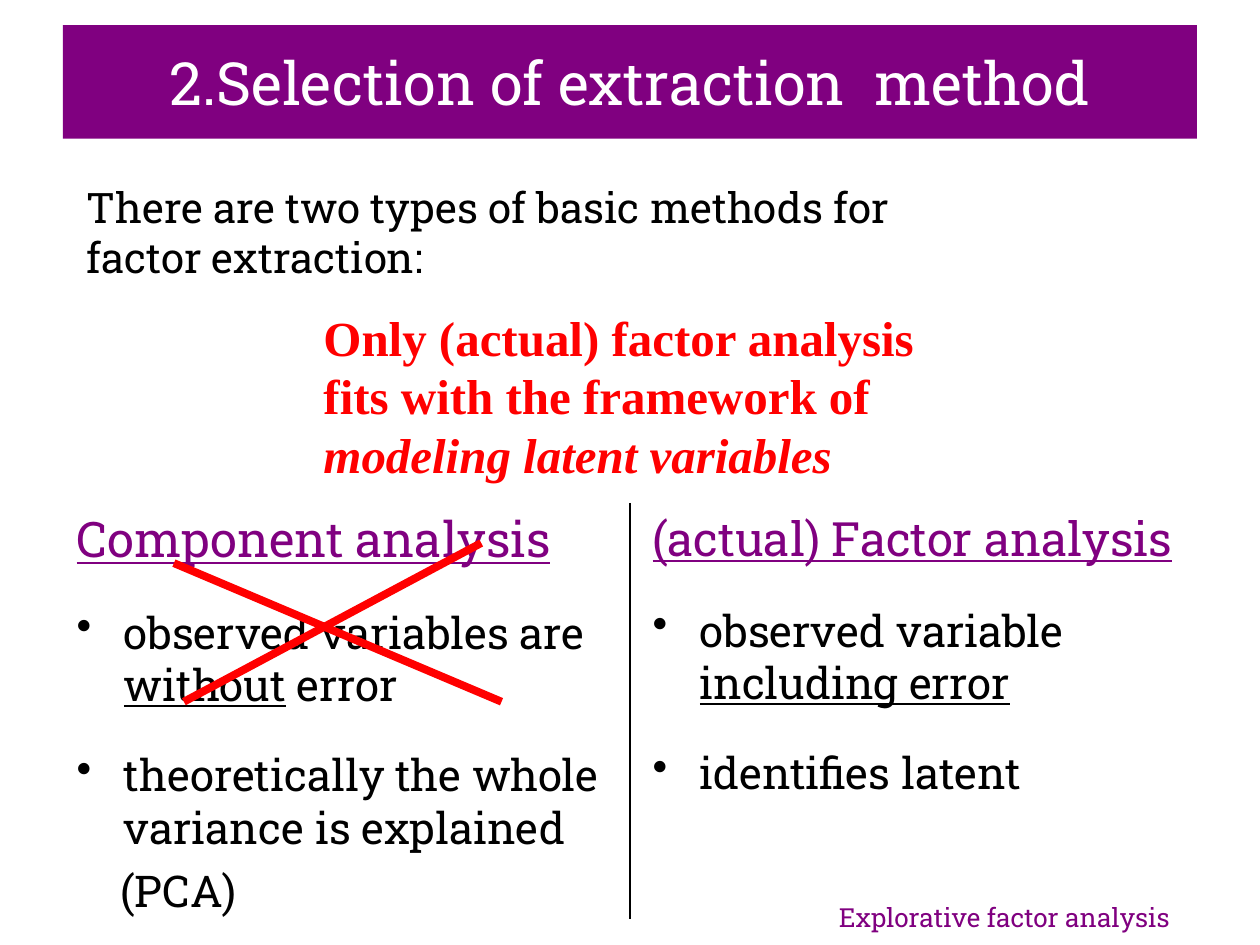
from lxml.etree import SubElement
from pptx import Presentation
from pptx.dml.color import RGBColor
from pptx.enum.shapes import MSO_CONNECTOR, MSO_SHAPE
from pptx.enum.text import MSO_ANCHOR, PP_ALIGN
from pptx.oxml.ns import qn
from pptx.util import Pt

PURPLE, RED, BLACK, WHITE = "800080", "FF0000", "000000", "FFFFFF"
SLAB, SERIF = "Roboto Slab", "Times New Roman"
BODY = {"name": SLAB, "size": Pt(25), "color": BLACK}
HANGING = 27


def color(value):
    return RGBColor.from_string(value)


def add_run(paragraph, text, font_format):
    run = paragraph.add_run()
    run.text = text
    for name, value in font_format.items():
        if name == "color":
            run.font.color.rgb = color(value)
        else:
            setattr(run.font, name, value)


def fill_paragraph(paragraph, runs, font_format, paragraph_format):
    for name, value in paragraph_format.items():
        setattr(paragraph, name, value)
    for text, changes in runs:
        add_run(paragraph, text, {**font_format, **changes})


def set_indent(paragraph, left, bullet=None):
    properties = paragraph._p.get_or_add_pPr()
    properties.set("marL", str(Pt(left)))
    if bullet:
        properties.set("indent", str(-Pt(left)))
        SubElement(properties, qn("a:buChar")).set("char", bullet)


def add_text_box(slide, box, wrap=True):
    frame = slide.shapes.add_textbox(*map(Pt, box)).text_frame
    frame.word_wrap = wrap
    return frame


def add_line(slide, start, end, line_color, width):
    line = slide.shapes.add_connector(MSO_CONNECTOR.STRAIGHT, *map(Pt, start + end))
    line.line.color.rgb = color(line_color)
    line.line.width = Pt(width)
    SubElement(line._element.spPr, qn("a:effectLst"))


def add_title(slide, box, text):
    banner = slide.shapes.add_shape(MSO_SHAPE.RECTANGLE, *map(Pt, box))
    banner.shadow.inherit = False
    banner.fill.solid()
    banner.fill.fore_color.rgb = color(PURPLE)
    banner.line.fill.background()
    banner.text_frame.vertical_anchor = MSO_ANCHOR.MIDDLE
    fill_paragraph(
        banner.text_frame.paragraphs[0],
        [(text, {})],
        {"name": SLAB, "size": Pt(34), "color": WHITE},
        {"alignment": PP_ALIGN.CENTER},
    )


def add_statement(slide, box, runs, font_format, paragraph_format, wrap=True):
    frame = add_text_box(slide, box, wrap)
    fill_paragraph(frame.paragraphs[0], runs, font_format, paragraph_format)


def add_method(slide, box, heading, heading_size, bullets, closing=None, right_inset=7.2):
    frame = add_text_box(slide, box)
    frame.margin_right = Pt(right_inset)
    heading_format = {"name": SLAB, "size": Pt(heading_size), "color": PURPLE, "underline": True}
    fill_paragraph(frame.paragraphs[0], [(heading, {})], heading_format, {})
    for runs in bullets:
        paragraph = frame.add_paragraph()
        set_indent(paragraph, HANGING, "•")
        fill_paragraph(paragraph, runs, BODY, {"line_spacing": Pt(30), "space_before": Pt(21.5)})
    if closing:
        paragraph = frame.add_paragraph()
        set_indent(paragraph, HANGING - 2)
        fill_paragraph(
            paragraph, [(closing, {})], BODY, {"line_spacing": Pt(30), "space_before": Pt(6.2)}
        )


def add_cross(slide, strokes):
    for start, end in strokes:
        add_line(slide, start, end, RED, 4.5)


def main():
    presentation = Presentation()
    presentation.slide_width, presentation.slide_height = Pt(720), Pt(540)
    slide = presentation.slides.add_slide(presentation.slide_layouts[6])
    underlined = {"underline": True}

    add_title(slide, (36, 14.4, 648, 64.8), "2.Selection of extraction  method")
    add_method(
        slide, (36.7, 287.3, 323.3, 244), "Component analysis", 28,
        [
            [("observed variables are ", {}), ("without", underlined), (" error", {})],
            [("theoretically the whole variance is explained", {})],
        ],
        closing="(PCA)", right_inset=2.9,
    )
    add_method(
        slide, (365.8, 287.3, 334, 244), "(actual) Factor analysis", 27,
        [
            [("observed variable ", {}), ("including error", underlined)],
            [("identifies latent", {})],
        ],
    )
    add_line(slide, (360, 287.3), (360, 524.9), BLACK, 0.75)
    add_statement(
        slide, (472.3, 511.2, 208, 25.2), [("Explorative factor analysis", {})],
        {"name": SLAB, "size": Pt(15), "color": PURPLE}, {}, wrap=False,
    )
    add_statement(
        slide, (42.5, 100, 527, 64.8),
        [("There are two types of basic methods for factor extraction:", {})],
        {"name": SLAB, "size": Pt(24), "color": BLACK}, {"line_spacing": Pt(28.8)},
    )
    add_statement(
        slide, (177.8, 172, 391.7, 108),
        [
            ("Only (actual) factor analysis fits with the framework of ", {}),
            ("modeling latent variables", {"italic": True}),
        ],
        {"name": SERIF, "size": Pt(28), "color": RED, "bold": True}, {"line_spacing": Pt(33.6)},
    )
    add_cross(slide, [((99.4, 321.8), (286.6, 401)), ((105.1, 401), (275, 310.3))])
    presentation.save("out.pptx")


if __name__ == "__main__":
    main()
